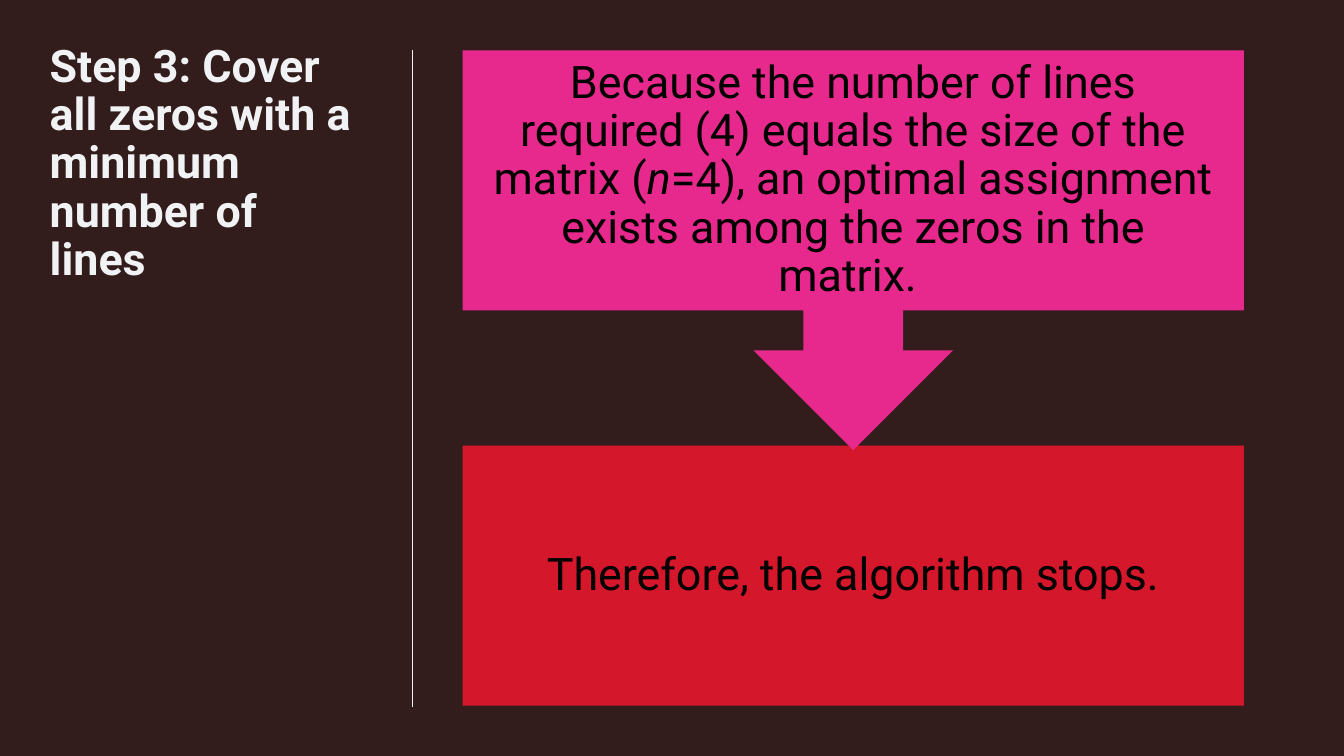
import dataclasses
import typing

import lxml.etree
import pptx
import pptx.dml.color
import pptx.enum.shapes
import pptx.enum.text
import pptx.oxml.ns
import pptx.util

Pt = pptx.util.Pt
Color = pptx.dml.color.RGBColor
Kind = pptx.enum.shapes.MSO_SHAPE
Align = pptx.enum.text.PP_ALIGN
Anchor = pptx.enum.text.MSO_ANCHOR

DARK = Color(0x32, 0x1C, 0x1C)
PALE = Color(0xF0, 0xF2, 0xF3)
RED = Color(0xD5, 0x17, 0x2C)
PINK = Color(0xE7, 0x29, 0x8D)
BLACK = Color(0, 0, 0)

FONT = "Roboto"
SIZE = 32
LEFT = 330.5
WIDTH = 558


@dataclasses.dataclass
class Span:
    text: str
    bold: bool = False
    slant: bool = False


@dataclasses.dataclass
class Step:
    kind: Kind
    top: float
    height: float
    fill: Color
    spans: list[Span]
    bends: tuple[float, ...] = ()


STEPS = [
    Step(Kind.RECTANGLE, 318.4, 185.6, RED, [Span("Therefore, the algorithm stops.")]),
    Step(
        Kind.DOWN_ARROW_CALLOUT, 36, 285.6, PINK,
        [
            Span("Because the number of lines required (4) equals the size of the matrix ("),
            Span("n", slant=True),
            Span("=4), an optimal assignment exists among the zeros in the matrix. "),
        ],
        (0.25, 0.25, 0.25, 0.65),
    ),
]


def write(shape: typing.Any, spans: list[Span], color: Color, inset: float,
          align: Align, anchor: Anchor) -> None:
    frame = shape.text_frame
    frame.word_wrap = True
    frame.vertical_anchor = anchor
    frame.margin_left = frame.margin_right = Pt(inset)
    frame.margin_top = frame.margin_bottom = Pt(inset)
    para = frame.paragraphs[0]
    para.alignment = align
    para.line_spacing = 0.9
    for span in spans:
        run = para.add_run()
        run.text = span.text
        run.font.name = FONT
        run.font.size = Pt(SIZE)
        run.font.bold = span.bold
        run.font.italic = span.slant
        run.font.color.rgb = color


def draw_title(slide: typing.Any) -> None:
    title = slide.shapes.add_textbox(Pt(35.5), Pt(31), Pt(224.6), Pt(469.4))
    spans = [Span("Step 3: Cover all zeros with a minimum number of lines", bold=True)]
    write(title, spans, PALE, 0, Align.LEFT, Anchor.TOP)


def draw_rule(slide: typing.Any) -> None:
    rule = slide.shapes.add_connector(
        pptx.enum.shapes.MSO_CONNECTOR.STRAIGHT,
        Pt(294.5), Pt(35.5), Pt(294.5), Pt(505.3))
    rule.line.color.rgb = PALE
    rule.line.width = Pt(0.75)
    lxml.etree.SubElement(rule._element.spPr, pptx.oxml.ns.qn("a:effectLst"))


def draw_step(slide: typing.Any, step: Step) -> None:
    shape = slide.shapes.add_shape(
        step.kind, Pt(LEFT), Pt(step.top), Pt(WIDTH), Pt(step.height))
    shape.shadow.inherit = False
    shape.fill.solid()
    shape.fill.fore_color.rgb = step.fill
    shape.line.fill.background()
    for index, bend in enumerate(step.bends):
        shape.adjustments[index] = bend
    write(shape, step.spans, BLACK, 18, Align.CENTER, Anchor.MIDDLE)


def main() -> None:
    deck = pptx.Presentation()
    deck.slide_width = Pt(960)
    deck.slide_height = Pt(540)
    slide = deck.slides.add_slide(deck.slide_layouts[6])
    slide.background.fill.solid()
    slide.background.fill.fore_color.rgb = DARK
    draw_title(slide)
    draw_rule(slide)
    for step in STEPS:
        draw_step(slide, step)
    deck.save("out.pptx")


if __name__ == "__main__":
    main()
